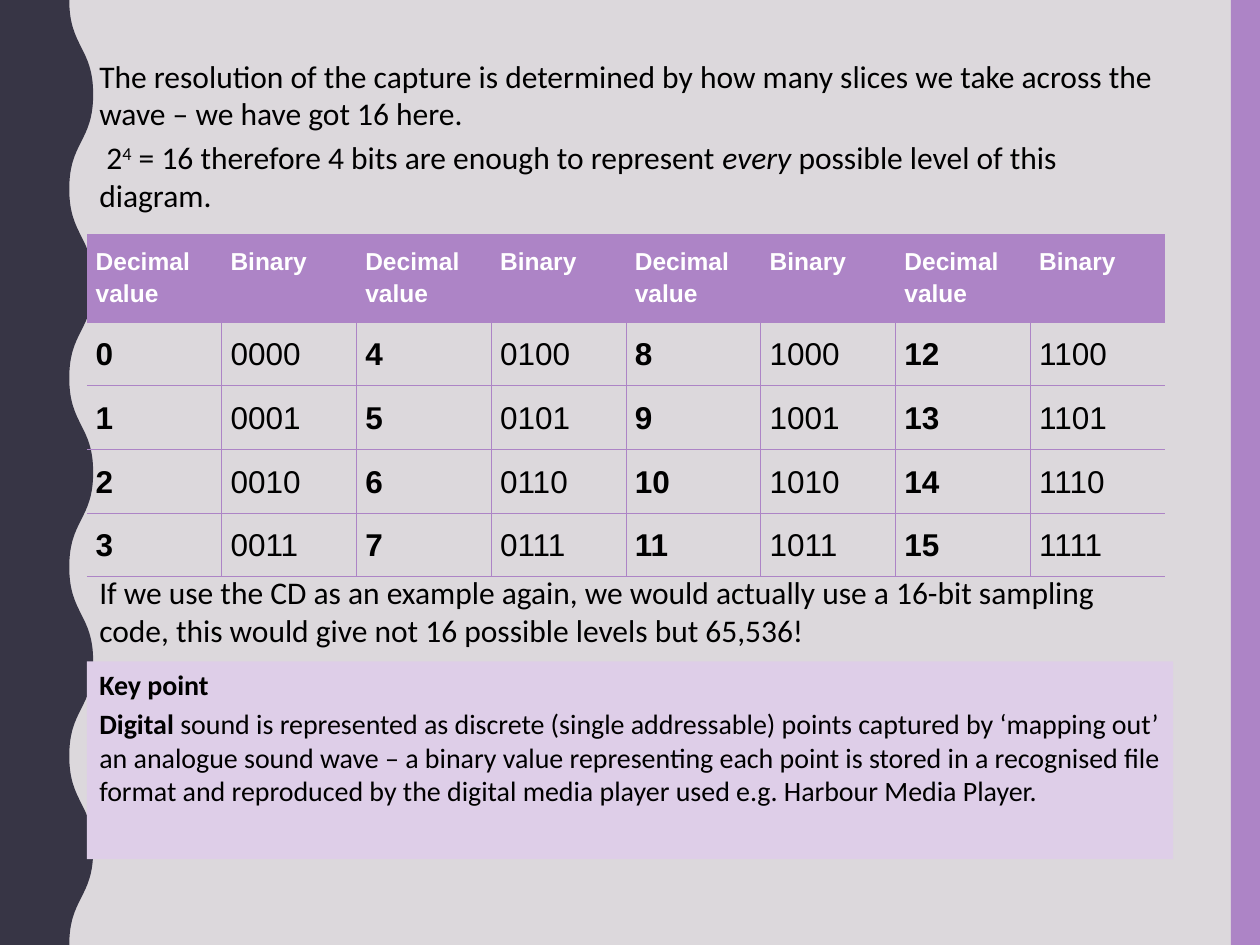
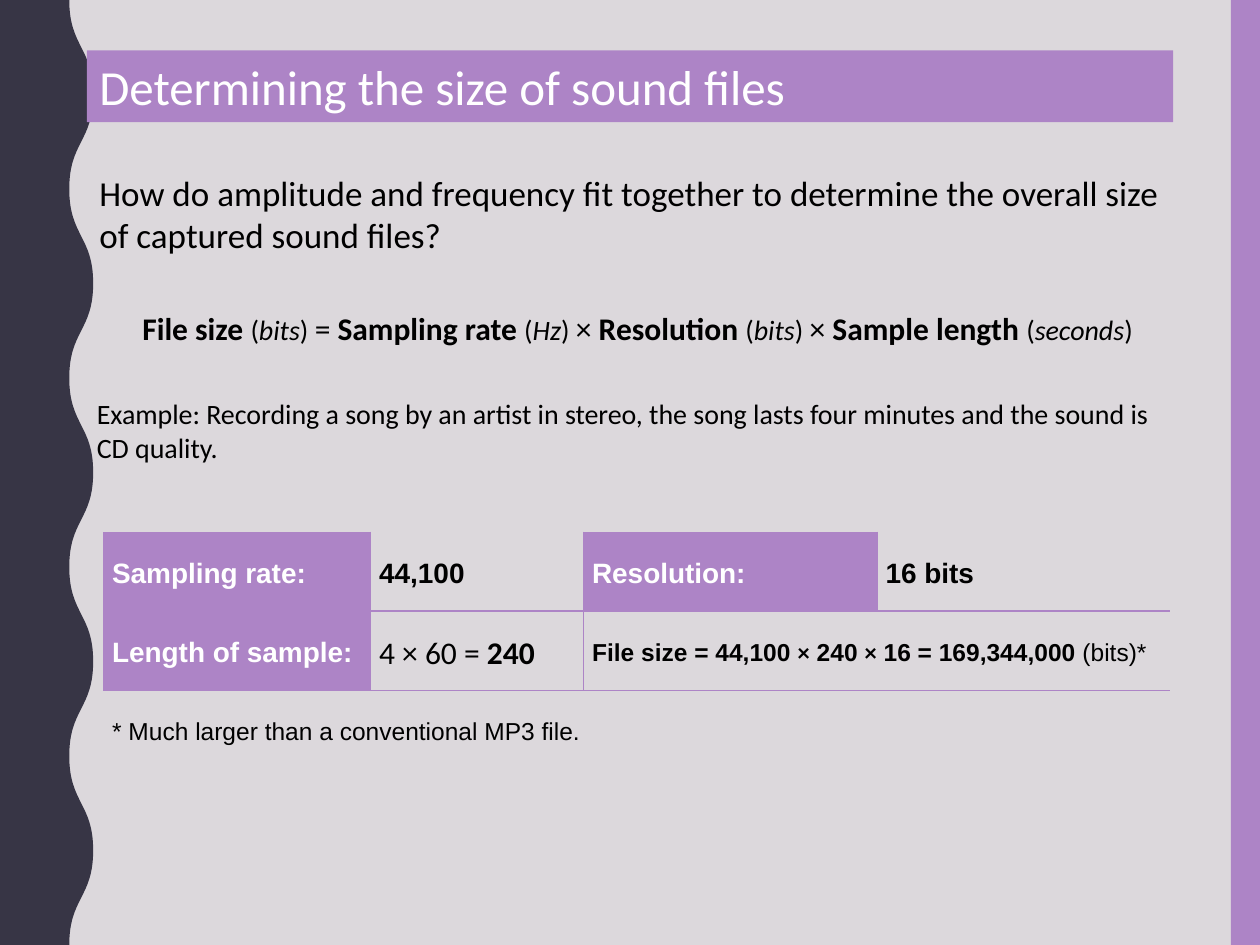
"""Build two slides on the resolution and the file size of digital sound."""
from dataclasses import dataclass, replace
from typing import NamedTuple, Optional

from lxml.etree import SubElement
from pptx import Presentation
from pptx.dml.color import RGBColor
from pptx.enum.shapes import MSO_SHAPE as Preset
from pptx.enum.text import MSO_ANCHOR as Anchor, PP_ALIGN as Align
from pptx.oxml.ns import qn
from pptx.util import Inches, Pt

BLACK = RGBColor(0x00, 0x00, 0x00)
WHITE = RGBColor(0xFF, 0xFF, 0xFF)
GREY = RGBColor(0xDC, 0xD8, 0xDC)
NAVY = RGBColor(0x37, 0x35, 0x45)
PURPLE = RGBColor(0xAD, 0x84, 0xC6)
LILAC = RGBColor(0xDE, 0xCE, 0xE8)

PAGE_WIDTH, PAGE_HEIGHT = 10, 7.5
BAND_WIDTH = 0.23
WAVE_INNER, WAVE_OUTER = 0.55, 0.74
WAVE_STEP, WAVE_COUNT = 0.75, 10
CONTENT_LEFT, CONTENT_WIDTH = 0.69, 8.62
PLAIN_TABLE = "{2D5ABB26-0587-4C30-8999-92F81FD0307C}"


class Style(NamedTuple):
    """Font settings shared by a whole paragraph."""
    size: int
    font: str = "Calibri"
    color: RGBColor = BLACK
    bold: bool = False


class Span(NamedTuple):
    """A stretch of text and what sets it apart from its paragraph."""
    text: str
    bold: Optional[bool] = None
    italic: Optional[bool] = None
    size: Optional[int] = None
    font: Optional[str] = None
    raised: bool = False


Line = list[Span]


@dataclass
class Panel:
    """A text area, filled or clear."""
    top: float
    height: float
    lines: list[Line]
    style: Style
    left: float = CONTENT_LEFT
    width: float = CONTENT_WIDTH
    fill: Optional[RGBColor] = None
    align: Align = Align.LEFT


@dataclass
class Entry:
    """The content of one table cell."""
    line: Line
    style: Style
    fill: Optional[RGBColor] = None
    columns: int = 1


@dataclass
class Grid:
    """A table with lines between its cells."""
    left: float
    top: float
    columns: list[float]
    heights: list[float]
    rows: list[list[Entry]]
    line_width: float
    anchor: Anchor = Anchor.TOP
    bottom_line: bool = False


def write_line(para, line: Line, style: Style) -> None:
    """Fill a paragraph with spans."""
    para.font.size = Pt(style.size)
    para.font.name = style.font
    para.font.bold = style.bold
    para.font.color.rgb = style.color
    for span in line:
        run = para.add_run()
        run.text = span.text
        run.font.bold = span.bold
        run.font.italic = span.italic
        run.font.name = span.font
        if span.size:
            run.font.size = Pt(span.size)
        if span.raised:
            run.font._element.set("baseline", "30000")


def draw_panel(page, panel: Panel) -> None:
    """Draw a text area with its paragraphs."""
    place = [Inches(n) for n in (panel.left, panel.top, panel.width, panel.height)]
    if panel.fill is None:
        box = page.shapes.add_textbox(*place)
    else:
        box = page.shapes.add_shape(Preset.RECTANGLE, *place)
        paint(box, panel.fill)
    frame = box.text_frame
    frame.word_wrap = True
    frame.vertical_anchor = Anchor.TOP
    for index, line in enumerate(panel.lines):
        para = frame.add_paragraph() if index else frame.paragraphs[0]
        para.alignment = panel.align
        if index:
            para.space_before = Pt(0.2 * panel.style.size)
        write_line(para, line, panel.style)


def paint(shape, color: RGBColor) -> None:
    """Give a shape a flat fill without line or shadow."""
    shape.shadow.inherit = False
    shape.fill.solid()
    shape.fill.fore_color.rgb = color
    shape.line.fill.background()


def draw_cell(cell, entry: Entry, anchor: Anchor, lines: dict[str, bool], width: float) -> None:
    """Set the borders, fill and text of one cell."""
    properties = cell._tc.get_or_add_tcPr()
    for side, shown in lines.items():
        border = SubElement(properties, qn(f"a:ln{side}"), w=str(Pt(width)))
        if shown:
            fill = SubElement(border, qn("a:solidFill"))
            SubElement(fill, qn("a:srgbClr"), val=str(PURPLE))
        else:
            SubElement(border, qn("a:noFill"))
    if entry.fill is None:
        cell.fill.background()
    else:
        cell.fill.solid()
        cell.fill.fore_color.rgb = entry.fill
    cell.margin_left = cell.margin_right = Inches(0.07)
    cell.margin_top = cell.margin_bottom = Inches(0.08)
    cell.vertical_anchor = anchor
    para = cell.text_frame.paragraphs[0]
    para.line_spacing = 1.15
    write_line(para, entry.line, entry.style)


def draw_grid(page, grid: Grid) -> None:
    """Draw a table row by row."""
    row_count, column_count = len(grid.heights), len(grid.columns)
    table = page.shapes.add_table(
        row_count, column_count, Inches(grid.left), Inches(grid.top),
        Inches(sum(grid.columns)), Inches(sum(grid.heights))).table
    table.first_row = table.horz_banding = False
    table._tbl.tblPr.find(qn("a:tableStyleId")).text = PLAIN_TABLE
    for column, width in zip(table.columns, grid.columns):
        column.width = Inches(width)
    for row, height in zip(table.rows, grid.heights):
        row.height = Inches(height)
    for row_index, entries in enumerate(grid.rows):
        start = 0
        for entry in entries:
            end = start + entry.columns
            cell = table.cell(row_index, start)
            if entry.columns > 1:
                cell.merge(table.cell(row_index, end - 1))
            lines = {"L": start > 0, "R": end < column_count, "T": row_index > 0,
                     "B": row_index < row_count - 1 or grid.bottom_line}
            draw_cell(cell, entry, grid.anchor, lines, grid.line_width)
            start = end


def draw_wave(page) -> None:
    """Draw the left band, with a curve for each swing of its edge."""
    edge = [(Inches(WAVE_OUTER if step % 2 else WAVE_INNER), Inches(step * WAVE_STEP))
            for step in range(WAVE_COUNT + 1)]
    builder = page.shapes.build_freeform(*edge[0], scale=1.0)
    corners = [(0, Inches(PAGE_HEIGHT)), (0, 0)]
    builder.add_line_segments(edge[1:] + corners, close=True)
    wave = builder.convert_to_shape()
    paint(wave, NAVY)
    bend = Inches(WAVE_STEP) // 2
    segments = list(wave._element.iter(qn("a:lnTo")))
    for segment, (x1, y1), (x2, y2) in zip(segments, edge, edge[1:]):
        segment.tag = qn("a:cubicBezTo")
        segment.clear()
        for x, y in ((x1, y1 + bend), (x2, y2 - bend), (x2, y2)):
            SubElement(segment, qn("a:pt"), x=str(int(x)), y=str(int(y)))


def add_page(deck):
    """Add a blank slide with the shared background and bands."""
    page = deck.slides.add_slide(deck.slide_layouts[6])
    page.background.fill.solid()
    page.background.fill.fore_color.rgb = GREY
    band = page.shapes.add_shape(
        Preset.RECTANGLE, Inches(PAGE_WIDTH - BAND_WIDTH), 0,
        Inches(BAND_WIDTH), Inches(PAGE_HEIGHT))
    paint(band, PURPLE)
    draw_wave(page)
    return page


def binary_grid() -> Grid:
    """Lay out the numbers 0 to 15 in four pairs of columns."""
    heading = Style(14, "Arial", WHITE, True)
    digits = Style(18, "Arial")
    rows = [[Entry([Span(text)], heading, PURPLE)
             for text in ("Decimal value", "Binary") * 4]]
    for first in range(4):
        row = []
        for value in range(first, 16, 4):
            row += [Entry([Span(str(value))], digits._replace(bold=True)),
                    Entry([Span(f"{value:04b}")], digits)]
        rows.append(row)
    return Grid(CONTENT_LEFT, 1.86, [1.07] * 8, [0.68] + [0.47] * 4, rows, 0.5,
                bottom_line=True)


def example_grid() -> Grid:
    """Lay out the worked example."""
    value = Style(16, "Arial", BLACK, True)
    label = value._replace(color=WHITE)
    small = value._replace(size=14)
    times = Span("×", font="Calibri")
    result = [Span("File size = 44,100 "), times, Span(" 240 "), times,
              Span(" 16 = 169,344,000 "), Span("(bits)*", bold=False)]
    rows = [
        [Entry([Span("Sampling rate:")], label, PURPLE), Entry([Span("44,100")], value),
         Entry([Span("Resolution:")], label, PURPLE), Entry([Span("16 bits")], value)],
        [Entry([Span("Length of sample:")], label, PURPLE),
         Entry([Span("4 × 60 = "), Span("240", bold=True)], Style(18)),
         Entry(result, small, columns=2)],
        [Entry([Span("* Much larger than a conventional MP3 file.")],
               small._replace(bold=False), columns=4)],
    ]
    return Grid(0.82, 4.22, [2.12, 1.69, 2.33, 2.33], [0.63] * 3, rows, 1, Anchor.MIDDLE)


def formula() -> Line:
    """Spell out the file size formula."""
    line = []
    for name, unit, sign in (("File size ", "bits", "= "), ("Sampling rate ", "Hz", "× "),
                             ("Resolution ", "bits", "× "), ("Sample length ", "seconds", "")):
        line += [Span(name, bold=True), Span("(", size=16),
                 Span(unit, italic=True, size=16), Span(") " if sign else ")", size=16)]
        if sign:
            line.append(Span(sign))
    return line


def build_resolution(deck) -> None:
    """Build the slide on capture resolution."""
    page = add_page(deck)
    intro = Panel(0.4, 1.46, [
        [Span("The resolution of the capture is determined by how many slices we take "
              "across the wave – we have got 16 here.")],
        [Span(" 2"), Span("4", raised=True),
         Span(" = 16 therefore 4 bits are enough to represent "),
         Span("every", italic=True), Span(" possible level of this diagram.")],
    ], Style(18), width=8.56)
    draw_panel(page, intro)
    draw_grid(page, binary_grid())
    draw_panel(page, replace(intro, top=4.5, height=0.89, lines=[
        [Span("If we use the CD as an example again, we would actually use a 16-bit "
              "sampling code, this would give not 16 possible levels but 65,536!")]]))
    draw_panel(page, Panel(5.25, 1.57, [
        [Span("Key point", bold=True)],
        [Span("Digital", bold=True),
         Span(" sound is represented as discrete (single addressable) points captured by "
              "‘mapping out’ an analogue sound wave – a binary value representing each "
              "point is stored in a recognised file format and reproduced by the digital "
              "media player used e.g. Harbour Media Player.")],
    ], Style(16), fill=LILAC))


def build_file_size(deck) -> None:
    """Build the slide on the size of sound files."""
    page = add_page(deck)
    draw_panel(page, Panel(0.4, 0.57, [[Span("Determining the size of sound files")]],
                           Style(28, color=WHITE), fill=PURPLE))
    draw_panel(page, Panel(1.31, 0.87, [
        [Span("How do amplitude and frequency fit together to determine the overall size "
              "of captured sound files?")]], Style(20)))
    draw_grid(page, example_grid())
    draw_panel(page, Panel(2.4, 0.4, [formula()], Style(18), left=0.12, width=9.88,
                           align=Align.CENTER))
    draw_panel(page, Panel(3.1, 0.87, [
        [Span("Example: Recording a song by an artist in stereo, the song lasts four "
              "minutes and the sound is CD quality.")]], Style(16), left=0.67))


def main() -> None:
    """Build and save the deck."""
    deck = Presentation()
    deck.slide_width, deck.slide_height = Inches(PAGE_WIDTH), Inches(PAGE_HEIGHT)
    build_resolution(deck)
    build_file_size(deck)
    deck.save("out.pptx")


if __name__ == "__main__":
    main()
